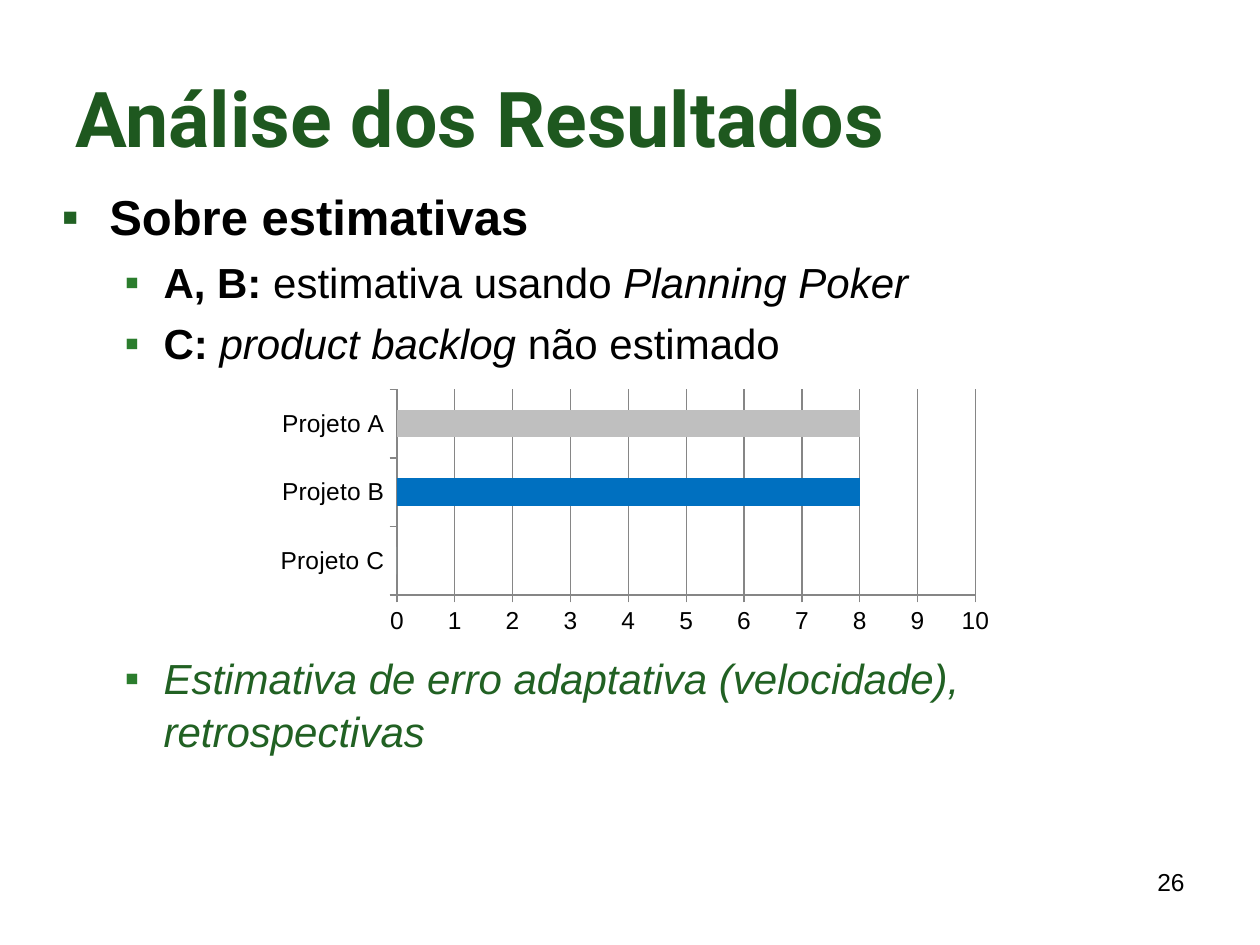
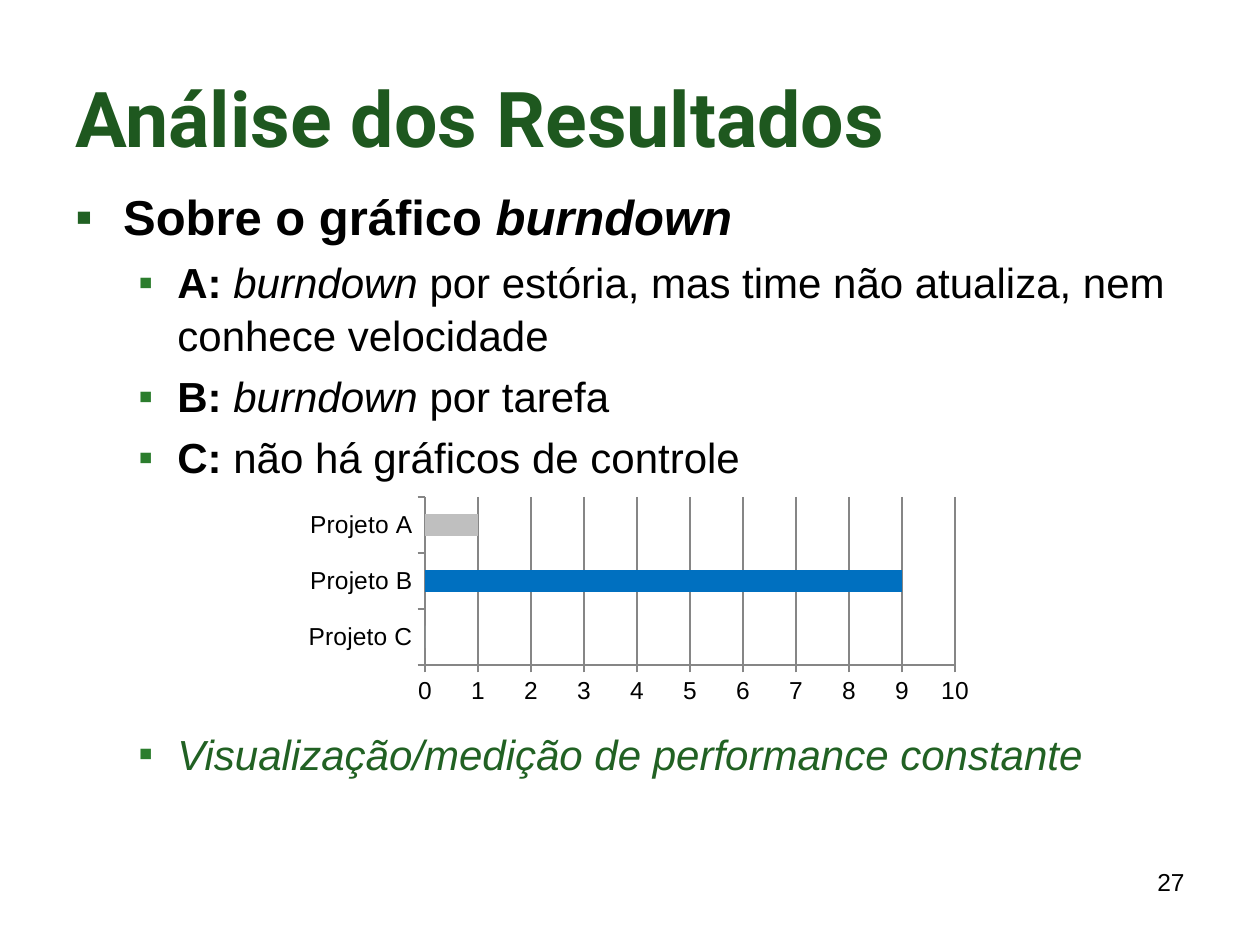
from lxml import etree
from pptx import Presentation
from pptx.chart.data import CategoryChartData
from pptx.dml.color import RGBColor
from pptx.enum.chart import XL_CHART_TYPE as ChartType, XL_TICK_MARK as Tick
from pptx.enum.text import MSO_ANCHOR as Anchor, PP_ALIGN as Align
from pptx.oxml.ns import qn
from pptx.util import Inches, Pt

COLORS = {
    "title": "1E581F",
    "accent": "216123",
    "bullet": "2B7D2D",
    "text": "000000",
    "grid": "868686",
    "series": "BBE0E3",
    "project_b": "0070C0",
    "project_a": "BFBFBF",
}
TITLE_FONT, BODY_FONT = "Roboto", "Arial"
PROJECTS = ["Projeto C", "Projeto B", "Projeto A"]
LEVELS = [
    {"size": 28, "margin": 0.38, "hang": 0.38, "bullet": "accent"},
    {"size": 24, "margin": 0.81, "hang": 0.31, "bullet": "bullet"},
]


def rgb(name):
    return RGBColor.from_string(COLORS[name])


def style_font(font, name, size, color, bold=False, italic=False):
    font.name = name
    font.size = Pt(size)
    font.color.rgb = rgb(color)
    font.bold = bold
    font.italic = italic


def add_text_frame(s, left, top, width, height):
    box = s.shapes.add_textbox(Inches(left), Inches(top), Inches(width), Inches(height))
    tf = box.text_frame
    tf.word_wrap = True
    return tf


def add_title(s, text):
    tf = add_text_frame(s, 0.5, 0.3, 9, 1.25)
    tf.vertical_anchor = Anchor.MIDDLE
    tf.text = text
    style_font(tf.paragraphs[0].runs[0].font, TITLE_FONT, 44, "title", bold=True)


def add_page_number(s, number):
    tf = add_text_frame(s, 7.17, 6.83, 2.33, 0.52)
    tf.text = str(number)
    p = tf.paragraphs[0]
    p.alignment = Align.RIGHT
    style_font(p.runs[0].font, BODY_FONT, 14, "text")


def set_bullet(p, level):
    pPr = p._p.get_or_add_pPr()
    pPr.set("marL", str(Inches(level["margin"])))
    pPr.set("indent", str(-Inches(level["hang"])))
    color = etree.SubElement(pPr, qn("a:buClr"))
    etree.SubElement(color, qn("a:srgbClr"), val=COLORS[level["bullet"]])
    etree.SubElement(pPr, qn("a:buFont"), typeface=BODY_FONT)
    etree.SubElement(pPr, qn("a:buChar"), char="▪")


def add_bullet(p, level_index, runs, space, color="text"):
    level = LEVELS[level_index]
    p.level = level_index
    p.line_spacing = 1.05
    p.space_before = Pt(space)
    set_bullet(p, level)
    for text, marks in runs:
        r = p.add_run()
        r.text = text
        style_font(r.font, BODY_FONT, level["size"], color, "b" in marks, "i" in marks)


def add_body(s, left, width, heading, items, conclusion, chart_gap):
    tf = add_text_frame(s, left, 1.41, width, 5.29)
    add_bullet(tf.paragraphs[0], 0, heading, 0)
    for runs in items:
        add_bullet(tf.add_paragraph(), 1, runs, 4.8)
    add_bullet(tf.add_paragraph(), 1, [(conclusion, "i")], chart_gap, "accent")


def style_axis(axis):
    axis.major_tick_mark = Tick.OUTSIDE
    axis.minor_tick_mark = Tick.NONE
    axis.format.line.color.rgb = rgb("grid")
    axis.format.line.width = Pt(0.75)


def add_score_chart(s, left, top, width, height, scores):
    data = CategoryChartData()
    data.categories = PROJECTS
    data.add_series("Series 1", scores)
    chart = s.shapes.add_chart(
        ChartType.BAR_CLUSTERED,
        Inches(left), Inches(top), Inches(width), Inches(height), data,
    ).chart
    chart.has_legend = False
    chart.has_title = False
    style_font(chart.font, BODY_FONT, 14, "text")

    plot = chart.plots[0]
    plot.gap_width = 150
    plot.vary_by_categories = False
    bars = plot.series[0]
    for fmt, color in [
        (bars.format, "series"),
        (bars.points[1].format, "project_b"),
        (bars.points[2].format, "project_a"),
    ]:
        fmt.fill.solid()
        fmt.fill.fore_color.rgb = rgb(color)

    style_axis(chart.category_axis)
    scale = chart.value_axis
    style_axis(scale)
    scale.minimum_scale, scale.maximum_scale, scale.major_unit = 0, 10, 1
    scale.tick_labels.number_format = "0"
    scale.tick_labels.number_format_is_linked = False
    scale.has_major_gridlines = True
    scale.major_gridlines.format.line.color.rgb = rgb("grid")
    scale.major_gridlines.format.line.width = Pt(0.75)


def add_results_slide(prs, number):
    s = prs.slides.add_slide(prs.slide_layouts[6])
    add_title(s, "Análise dos Resultados")
    add_page_number(s, number)
    return s


def main():
    prs = Presentation()
    prs.slide_width, prs.slide_height = Inches(10), Inches(7.5)

    s = add_results_slide(prs, 26)
    add_body(
        s, 0.39, 9.3,
        [("Sobre estimativas", "b")],
        [
            [("A, B: ", "b"), ("estimativa usando ", ""), ("Planning Poker", "i")],
            [("C: ", "b"), ("product backlog ", "i"), ("não estimado", "")],
        ],
        "Estimativa de erro adaptativa (velocidade), retrospectivas",
        chart_gap=161,
    )
    add_score_chart(s, 2.11, 3.05, 5.86, 2.03, [0, 8, 8])

    s = add_results_slide(prs, 27)
    add_body(
        s, 0.5, 9,
        [("Sobre o gráfico ", "b"), ("burndown", "bi")],
        [
            [("A: ", "b"), ("burndown", "i"),
             (" por estória, mas time não atualiza, nem conhece velocidade", "")],
            [("B: ", "b"), ("burndown", "i"), (" por tarefa", "")],
            [("C:", "b"), (" não há gráficos de controle", "")],
        ],
        "Visualização/medição de performance constante",
        chart_gap=139,
    )
    add_score_chart(s, 2.34, 3.91, 5.46, 1.72, [0, 9, 1])

    prs.save("out.pptx")


if __name__ == "__main__":
    main()
